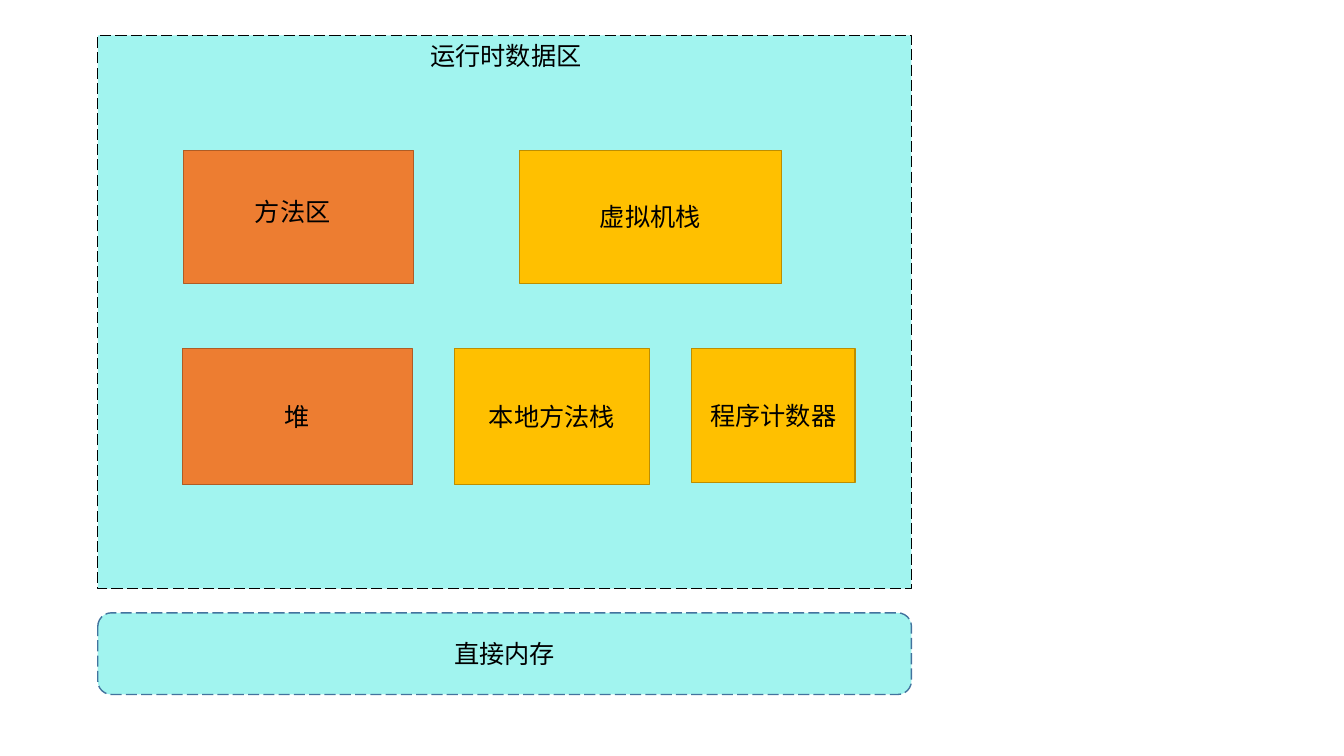
from dataclasses import dataclass

from pptx import Presentation
from pptx.dml.color import RGBColor
from pptx.enum.dml import MSO_LINE
from pptx.enum.shapes import MSO_SHAPE
from pptx.enum.text import MSO_ANCHOR, MSO_AUTO_SIZE, PP_ALIGN
from pptx.util import Inches, Pt

RECT, ROUND = MSO_SHAPE.RECTANGLE, MSO_SHAPE.ROUNDED_RECTANGLE
DASH = MSO_LINE.LONG_DASH
MIDDLE, CENTER = MSO_ANCHOR.MIDDLE, PP_ALIGN.CENTER
GROW = MSO_AUTO_SIZE.SHAPE_TO_FIT_TEXT
CELL = 0.1  # inches per grid column and row


@dataclass
class Theme:
    font: str = "Arial"
    size: int = 18
    line: int = 1
    ink: str = "000000"
    zone: tuple = ("A1F4EF", "000000")
    direct: tuple = ("A1F4EF", "43739E")
    shared: tuple = ("ED7D31", "AF5C24")
    private: tuple = ("FFC000", "BD8E00")


class Board:
    def __init__(self, slide, theme):
        self.slide, self.theme = slide, theme

    def place(self, spot):
        return [Inches(n * CELL) for n in spot]

    def add_run(self, frame, text):
        run = frame.paragraphs[0].add_run()
        run.text = text
        font = run.font
        font.name, font.size = self.theme.font, Pt(self.theme.size)
        font.color.rgb = RGBColor.from_string(self.theme.ink)

    def box(self, spot, paint, text="", kind=RECT, dash=None):
        shape = self.slide.shapes.add_shape(kind, *self.place(spot))
        shape.shadow.inherit = False
        fill, edge = map(RGBColor.from_string, paint)
        shape.fill.solid()
        shape.fill.fore_color.rgb = fill
        shape.line.color.rgb = edge
        shape.line.width = Pt(self.theme.line)
        if dash:
            shape.line.dash_style = dash
        if text:
            frame = shape.text_frame
            frame.vertical_anchor = MIDDLE
            frame.paragraphs[0].alignment = CENTER
            self.add_run(frame, text)

    def label(self, spot, text):
        frame = self.slide.shapes.add_textbox(*self.place(spot)).text_frame
        frame.word_wrap = True
        frame.auto_size = GROW
        self.add_run(frame, text)


deck = Presentation()
deck.slide_width, deck.slide_height = Inches(13.33), Inches(7.5)
theme = Theme()
board = Board(deck.slides.add_slide(deck.slide_layouts[6]), theme)

# Memory zones share one left edge and width
left, wide = 9.7, 80.7
board.box((left, 3.5, wide, 54.9), theme.zone, dash=DASH)
board.label((41.7, 3.5, 19.3, 4), "运行时数据区")
board.box((left, 60.8, wide, 8.1), theme.direct, "直接内存", ROUND, DASH)

# Areas in two rows: column, width, height, colours, name
upper, lower = 14.9, 34.6
areas = {
    upper: [(18.2, 22.8, 13.2, theme.shared, ""),
            (51.5, 26, 13.2, theme.private, "虚拟机栈")],
    lower: [(18.1, 22.8, 13.5, theme.shared, "堆"),
            (45.1, 19.3, 13.5, theme.private, "本地方法栈"),
            (68.6, 16.2, 13.3, theme.private, "程序计数器")],
}
for row, group in areas.items():
    for col, width, height, paint, name in group:
        board.box((col, row, width, height), paint, name)

# The method area has a free label
board.label((24.3, 19, 10.4, 4), "方法区")

deck.save("out.pptx")
